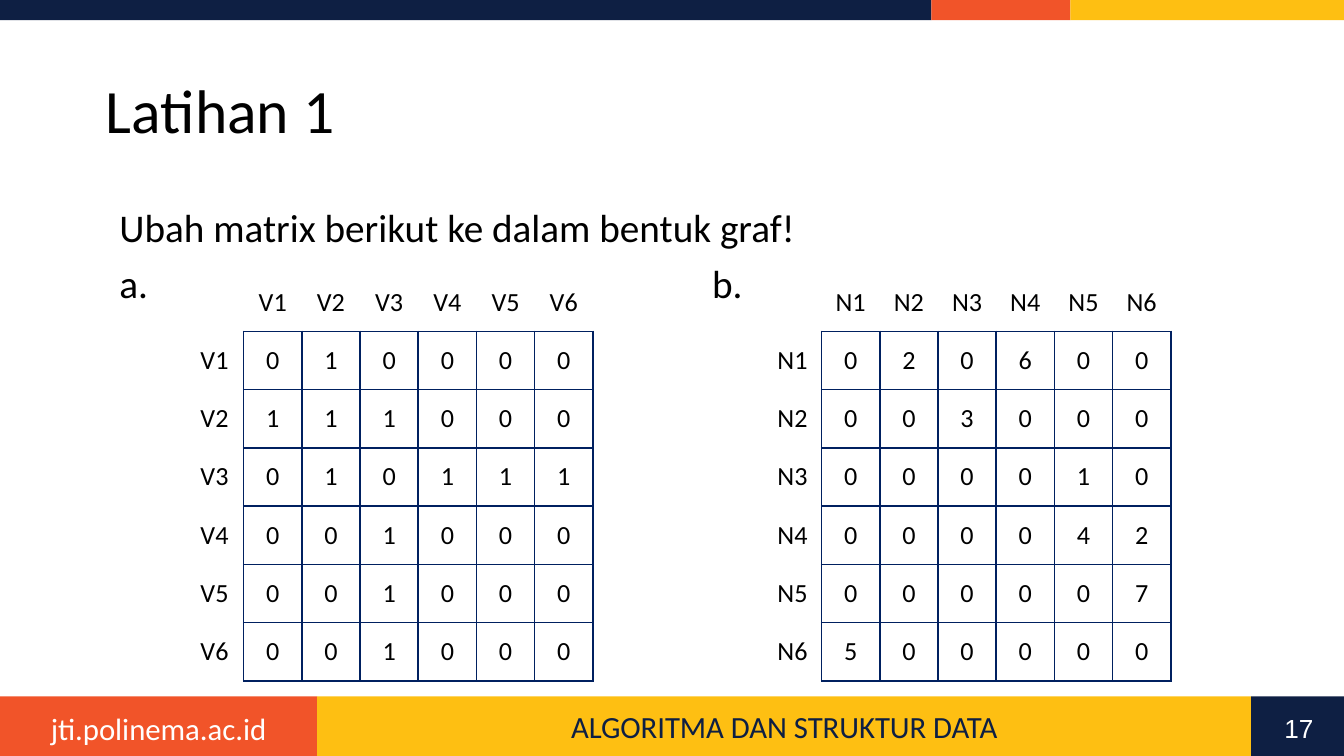
from lxml import etree
from pptx import Presentation
from pptx import util as u
from pptx.dml.color import RGBColor
from pptx.enum import shapes, text
from pptx.oxml.ns import qn

NAVY = RGBColor(0x0E, 0x1F, 0x43)
ORANGE = RGBColor(0xF1, 0x54, 0x29)
YELLOW = RGBColor(0xFE, 0xBF, 0x12)
GRID = RGBColor(0x00, 0x20, 0x60)
BLACK = RGBColor(0, 0, 0)
WHITE = RGBColor(0xFF, 0xFF, 0xFF)

SIDES = "LRTB"
CENTER = text.PP_ALIGN.CENTER
MIDDLE = text.MSO_ANCHOR.MIDDLE


class Deck:
    """Slide style and drawing methods; positions are percentages of the slide."""
    font = "Calibri"

    def __init__(self, width, height):
        self.prs = Presentation()
        self.prs.slide_width, self.prs.slide_height = u.Inches(width), u.Inches(height)
        self.s = self.prs.slides.add_slide(self.prs.slide_layouts[6])

    def place(self, x, y, w, h):
        sw, sh = self.prs.slide_width, self.prs.slide_height
        return [round(v * size / 100) for v, size in ((x, sw), (y, sh), (w, sw), (h, sh))]

    def run(self, p, words, size, color, font=None):
        r = p.add_run()
        r.text = words
        r.font.size, r.font.name = u.Pt(size), font or self.font
        r.font.color.rgb = color

    def bar(self, box, color):
        sp = self.s.shapes.add_shape(shapes.MSO_SHAPE.RECTANGLE, *self.place(*box))
        sp.shadow.inherit = False
        sp.fill.solid()
        sp.fill.fore_color.rgb = color
        sp.line.fill.background()
        return sp

    def bars(self, y, h, parts):
        x, made = 0, []
        for w, color in parts:
            made.append(self.bar((x, y, w, h), color))
            x += w
        return made

    def textbox(self, box, anchor=text.MSO_ANCHOR.TOP):
        tf = self.s.shapes.add_textbox(*self.place(*box)).text_frame
        tf.word_wrap, tf.vertical_anchor = True, anchor
        return tf

    def label(self, tf, words, size, color, align=CENTER, font=None):
        p = tf.paragraphs[0]
        p.alignment = align
        self.run(p, words, size, color, font)
        return p

    def lettered(self, p, indent, hanging, tab):
        pPr = p._p.get_or_add_pPr()
        pPr.set("marL", str(u.Inches(indent)))
        pPr.set("indent", str(-u.Inches(hanging)))
        if tab is None:
            return
        clr = etree.SubElement(pPr, qn("a:buClr"))
        etree.SubElement(clr, qn("a:srgbClr"), val=str(BLACK))
        etree.SubElement(pPr, qn("a:buFont"), typeface=self.font)
        etree.SubElement(pPr, qn("a:buAutoNum"), type="alphaLcPeriod")
        tabs = etree.SubElement(pPr, qn("a:tabLst"))
        etree.SubElement(tabs, qn("a:tab"), pos=str(u.Inches(tab)), algn="l")

    def borders(self, cell, drawn):
        tcPr = cell._tc.get_or_add_tcPr()
        for i, side in enumerate(SIDES):
            ln = etree.Element(qn(f"a:ln{side}"), w=str(u.Pt(1)))
            if side in drawn:
                fill = etree.SubElement(ln, qn("a:solidFill"))
                etree.SubElement(fill, qn("a:srgbClr"), val=str(GRID))
            else:
                etree.SubElement(ln, qn("a:noFill"))
            tcPr.insert(i, ln)

    def matrix(self, box, letter, rows):
        names = [f"{letter}{i + 1}" for i in range(len(rows))]
        grid = [["", *names]] + [[name, *row] for name, row in zip(names, rows)]
        n = len(grid)
        tb = self.s.shapes.add_table(n, n, *self.place(*box)).table
        tb.first_row = tb.horz_banding = False
        for i, row in enumerate(grid):
            for j, value in enumerate(row):
                cell = tb.cell(i, j)
                cell.margin_left = cell.margin_right = 0
                cell.vertical_anchor = MIDDLE
                if i and j:
                    cell.fill.solid()
                    cell.fill.fore_color.rgb = WHITE
                    drawn = SIDES
                else:
                    cell.fill.background()
                    drawn = "R" if i else "B" if j else ""
                self.borders(cell, drawn)
                if value:
                    self.label(cell.text_frame, value, 14, BLACK)


def main():
    d = Deck(10, 5.625)

    # Top stripe
    d.bars(0, 2.67, [(69.3, NAVY), (10.35, ORANGE), (20.35, YELLOW)])

    # Footer
    _, course, _ = d.bars(92.1, 7.9, [(23.6, ORANGE), (69.5, YELLOW), (6.9, NAVY)])
    course.text_frame.vertical_anchor = MIDDLE
    d.label(course.text_frame, "ALGORITMA DAN STRUKTUR DATA", 16.5, NAVY)
    d.label(d.textbox((0, 93, 23.6, 6.8)), "jti.polinema.ac.id", 16.5, WHITE)

    # Title
    title = d.textbox((6.9, 5.33, 76.8, 19.4), MIDDLE)
    d.label(title, "Latihan 1", 33, BLACK, text.PP_ALIGN.LEFT).line_spacing = 0.9

    # Task and the two exercise letters
    body = d.textbox((6.9, 26.67, 86.2, 63.5))
    task, letters = body.paragraphs[0], body.add_paragraph()
    d.lettered(task, 0.1, 0, None)
    d.lettered(letters, 0.6, 0.5, 4.51)
    letters.space_before = u.Pt(7.5)
    for p, words in ((task, "Ubah matrix berikut ke dalam bentuk graf!"), (letters, " \tb.")):
        p.line_spacing = 0.9
        d.run(p, words, 21, BLACK)

    # Page number
    d.label(d.textbox((94.4, 93.3, 4.5, 5.4)), "17", 14, WHITE, font="Arial")

    # Adjacency matrices
    matrices = [
        (13.8, "V", "010000 111000 010111 001000 001000 001000"),
        (56.8, "N", "020600 003000 000010 000042 000007 500000"),
    ]
    for x, letter, rows in matrices:
        d.matrix((x, 36.15, 30.33, 53.9), letter, rows.split())

    d.prs.save("out.pptx")


if __name__ == "__main__":
    main()
